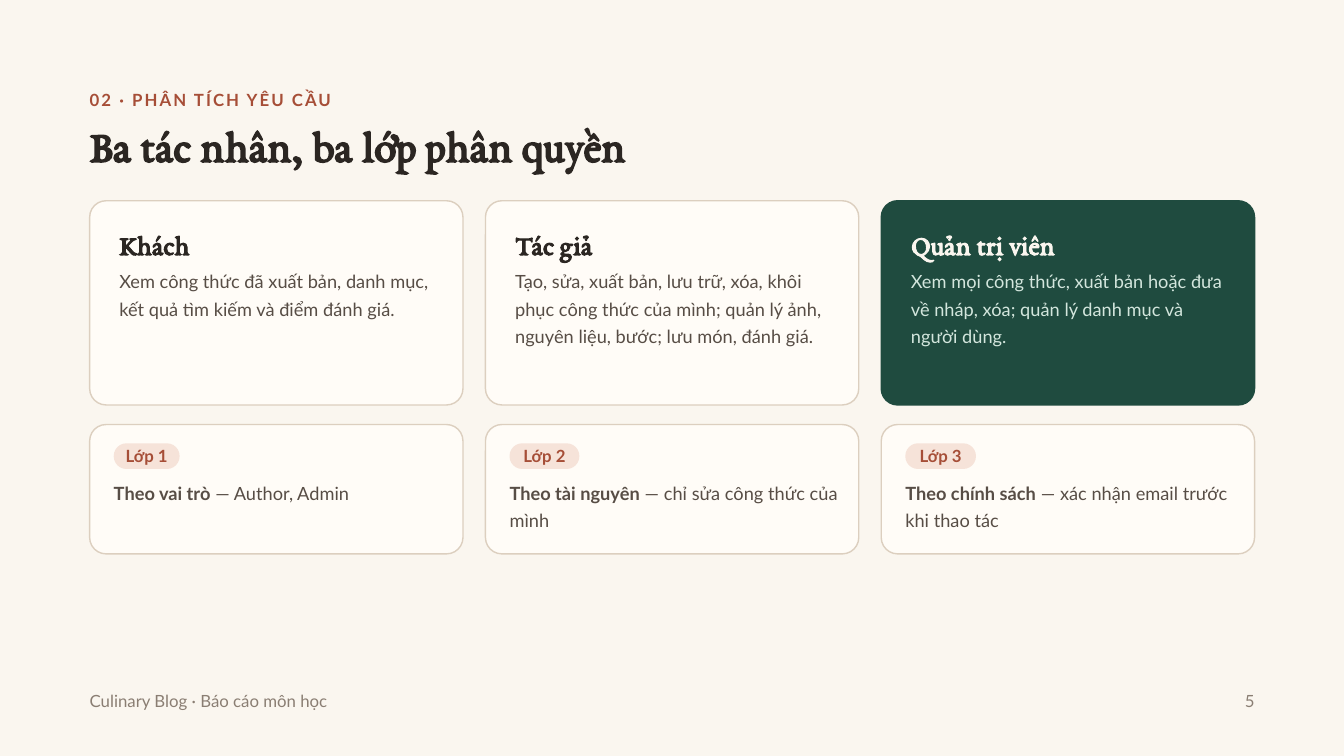
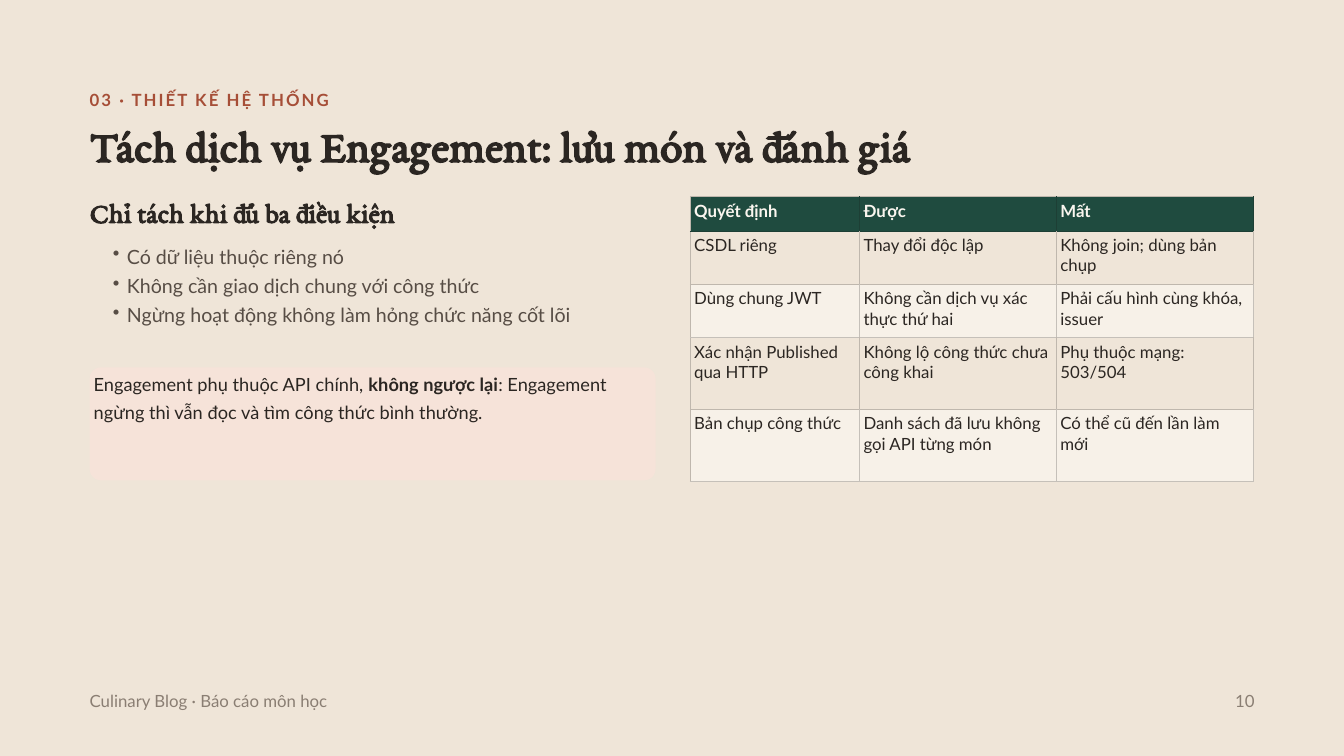
from lxml import etree
from pptx import Presentation
from pptx import util as u
from pptx.dml.color import RGBColor
from pptx.enum import shapes, text
from pptx.oxml.ns import qn

SERIF, SANS = "EB Garamond", "Lato"
CREAM, SAND, PAPER, STRIPE = "FAF6EF", "EFE5D8", "FFFCF7", "F7F1E8"
INK, BROWN, GREY = "2B2622", "574D45", "8A7E73"
RUST, BLUSH, GREEN, MINT = "A64E37", "F6E3D9", "1F4B3F", "D3E6DD"
CARD_LINE, RULE, STRIPE_RULE, HEADER_RULE = "DCCFBF", "BFB7AD", "C5C0B9", "1D3F35"

LEFT, CONTENT_WIDTH = 3.39, 44.03
COLUMN_WIDTH = 14.11
COLUMN_STEP = (CONTENT_WIDTH - COLUMN_WIDTH) / 2
CARD_RADIUS = 0.62
CELL_MARGIN = 0.15


def color(value):
    return RGBColor.from_string(value)


def box(left, top, width, height):
    return [u.Cm(value) for value in (left, top, width, height)]


def write(frame, *lines, size=19.5, font=SANS, ink=BROWN, bold=False, leading=29.2,
          align=text.PP_ALIGN.LEFT, anchor=text.MSO_ANCHOR.TOP, margin=0,
          spacing=None, bullet=None):
    """Fill a text frame or cell, one paragraph per line; **marks** set words in bold."""
    holder = frame if hasattr(frame, "text_frame") else None
    (holder or frame).vertical_anchor = anchor
    for side in ("left", "top", "right", "bottom"):
        setattr(holder or frame, f"margin_{side}", u.Cm(margin))
    if holder:
        frame = holder.text_frame
    frame.word_wrap = True
    for index, line in enumerate(lines):
        paragraph = frame.add_paragraph() if index else frame.paragraphs[0]
        if bullet:
            add_bullet(paragraph, bullet)
        paragraph.alignment = align
        paragraph.line_spacing = u.Pt(leading)
        paragraph.space_before = u.Pt(0)
        for part, words in enumerate(line.split("**")):
            if not words:
                continue
            run = paragraph.add_run()
            run.text = words
            run.font.name = font
            run.font.size = u.Pt(size)
            run.font.bold = bold or part % 2 == 1
            run.font.color.rgb = color(ink)
            if spacing:
                run.font._element.set("spc", str(round(spacing * 100)))


def add_bullet(paragraph, character):
    properties = paragraph._p.get_or_add_pPr()
    properties.set("marL", str(u.Cm(1.07)))
    properties.set("indent", str(u.Cm(-0.53)))
    etree.SubElement(properties, qn("a:buChar"), char=character)


def add_text(slide, place, *lines, **style):
    write(slide.shapes.add_textbox(*box(*place)).text_frame, *lines, **style)


def add_panel(slide, place, fill, radius, line=None):
    """Add a rounded rectangle with a corner radius in centimetres."""
    panel = slide.shapes.add_shape(shapes.MSO_SHAPE.ROUNDED_RECTANGLE, *box(*place))
    panel.adjustments[0] = radius / min(place[2:])
    panel.shadow.inherit = False
    panel.fill.solid()
    panel.fill.fore_color.rgb = color(fill)
    if line:
        panel.line.color.rgb = color(line)
        panel.line.width = u.Pt(1.5)
    else:
        panel.line.fill.background()
    return panel


def add_slide(presentation, background, section, title, number):
    """Add a slide with its section label, title and footer."""
    slide = presentation.slides.add_slide(presentation.slide_layouts[5])
    slide.background.fill.solid()
    slide.background.fill.fore_color.rgb = color(background)
    heading = slide.shapes.title
    heading.left, heading.top, heading.width, heading.height = box(LEFT, 4.6, 45.34, 1.83)
    heading.text_frame.auto_size = text.MSO_AUTO_SIZE.NONE
    write(heading.text_frame, title, size=48, font=SERIF, ink=INK, bold=True, leading=52.8)
    add_text(slide, (LEFT, 3.39, 45.34, 0.86), section, size=18, ink=RUST, bold=True,
             leading=21.6, spacing=2.2)
    footer = dict(size=18, ink=GREY, leading=21.6)
    add_text(slide, (LEFT, 26.11, 12, 0.86), "Culinary Blog · Báo cáo môn học", **footer)
    add_text(slide, (LEFT + CONTENT_WIDTH - 2, 26.11, 2, 0.86), str(number),
             align=text.PP_ALIGN.RIGHT, **footer)
    return slide


def add_subheading(slide, place, words, ink=INK, leading=34.5):
    add_text(slide, place, words, size=30, font=SERIF, ink=ink, bold=True, leading=leading)


def add_actor_card(slide, left, name, rights, highlighted):
    top = 7.59
    fill, line, name_ink, ink = ((GREEN, GREEN, CREAM, MINT) if highlighted
                                 else (PAPER, CARD_LINE, INK, BROWN))
    add_panel(slide, (left, top, COLUMN_WIDTH, 7.72), fill, CARD_RADIUS, line)
    add_subheading(slide, (left + 1.12, top + 1.05, 12.24, 1.3), name, name_ink)
    add_text(slide, (left + 1.12, top + 2.44, 12.24, 4.39), rights, ink=ink)


def add_layer_card(slide, left, label, label_width, rule):
    top = 16.05
    add_panel(slide, (left, top, COLUMN_WIDTH, 4.89), PAPER, CARD_RADIUS, CARD_LINE)
    pill = add_panel(slide, (left + 0.91, top + 0.71, label_width, 0.97), BLUSH, 0.48)
    write(pill.text_frame, label, size=18, ink=RUST, bold=True, leading=21.6,
          align=text.PP_ALIGN.CENTER, anchor=text.MSO_ANCHOR.MIDDLE)
    add_text(slide, (left + 0.91, top + 1.98, 12.67, 2.34), rule)


def set_borders(cell, **edges):
    """Draw 1 pt cell borders; the edges come in the order L, R, T, B."""
    properties = cell._tc.get_or_add_tcPr()
    for position, (edge, value) in enumerate(edges.items()):
        line = etree.Element(qn(f"a:ln{edge}"), w=str(u.Pt(1)))
        fill = etree.SubElement(line, qn("a:solidFill"))
        etree.SubElement(fill, qn("a:srgbClr"), val=value)
        properties.insert(position, line)


def add_decision_table(slide, left, top, widths, heights, rows):
    frame = slide.shapes.add_table(len(rows), len(widths),
                                   *box(left, top, sum(widths), sum(heights)))
    table = frame.table
    table.horz_banding = False
    for column, width in zip(table.columns, widths):
        column.width = u.Cm(width)
    rule_above = RULE
    for r, (values, height) in enumerate(zip(rows, heights)):
        table.rows[r].height = u.Cm(height)
        header = r == 0
        if header:
            fill, rule = GREEN, HEADER_RULE
        else:
            fill, rule = (None, RULE) if r % 2 else (STRIPE, STRIPE_RULE)
        for c, value in enumerate(values):
            cell = table.cell(r, c)
            if fill:
                cell.fill.solid()
                cell.fill.fore_color.rgb = color(fill)
            else:
                cell.fill.background()
            set_borders(cell, L=rule if c else RULE, R=rule, T=rule_above, B=rule)
            write(cell, value, size=18, ink=CREAM if header else INK, bold=header,
                  leading=21.6, margin=CELL_MARGIN)
        rule_above = rule


def build_actors(presentation):
    slide = add_slide(presentation, CREAM, "02 · PHÂN TÍCH YÊU CẦU",
                      "Ba tác nhân, ba lớp phân quyền", 5)
    actors = [
        ("Khách", "Xem công thức đã xuất bản, danh mục, kết quả tìm kiếm và điểm đánh giá."),
        ("Tác giả", "Tạo, sửa, xuất bản, lưu trữ, xóa, khôi phục công thức của mình; "
                    "quản lý ảnh, nguyên liệu, bước; lưu món, đánh giá."),
        ("Quản trị viên", "Xem mọi công thức, xuất bản hoặc đưa về nháp, xóa; "
                          "quản lý danh mục và người dùng."),
    ]
    layers = [
        ("Lớp 1", 2.49, "**Theo vai trò** — Author, Admin"),
        ("Lớp 2", 2.64, "**Theo tài nguyên** — chỉ sửa công thức của mình"),
        ("Lớp 3", 2.67, "**Theo chính sách** — xác nhận email trước khi thao tác"),
    ]
    for index, (actor, layer) in enumerate(zip(actors, layers)):
        left = LEFT + index * COLUMN_STEP
        add_actor_card(slide, left, *actor, highlighted=index == 2)
        add_layer_card(slide, left, *layer)


def build_engagement(presentation):
    slide = add_slide(presentation, SAND, "03 · THIẾT KẾ HỆ THỐNG",
                      "Tách dịch vụ Engagement: lưu món và đánh giá", 10)
    add_subheading(slide, (LEFT, 7.37, 22.02, 1.4), "Chỉ tách khi đủ ba điều kiện", leading=36)
    add_text(slide, (3.73, 9.02, 21.64, 4.34),
             "Có dữ liệu thuộc riêng nó",
             "Không cần giao dịch chung với công thức",
             "Ngừng hoạt động không làm hỏng chức năng cốt lõi",
             size=21, leading=31.5, bullet="•")
    add_panel(slide, (LEFT, 13.89, 21.39, 4.27), BLUSH, 0.43)
    add_text(slide, (LEFT, 13.77, 21.39, 4.37),
             "Engagement phụ thuộc API chính, **không ngược lại**: "
             "Engagement ngừng thì vẫn đọc và tìm công thức bình thường.",
             ink=INK, margin=CELL_MARGIN)
    add_decision_table(slide, 26.09, 7.44, (6.4, 7.44, 7.44), (1.3, 2.01, 2.01, 2.72, 2.72), [
        ("Quyết định", "Được", "Mất"),
        ("CSDL riêng", "Thay đổi độc lập", "Không join; dùng bản chụp"),
        ("Dùng chung JWT", "Không cần dịch vụ xác thực thứ hai",
         "Phải cấu hình cùng khóa, issuer"),
        ("Xác nhận Published qua HTTP", "Không lộ công thức chưa công khai",
         "Phụ thuộc mạng: 503/504"),
        ("Bản chụp công thức", "Danh sách đã lưu không gọi API từng món",
         "Có thể cũ đến lần làm mới"),
    ])


def main():
    presentation = Presentation()
    presentation.slide_width, presentation.slide_height = u.Cm(50.8), u.Cm(28.58)
    build_actors(presentation)
    build_engagement(presentation)
    presentation.save("out.pptx")


if __name__ == "__main__":
    main()
